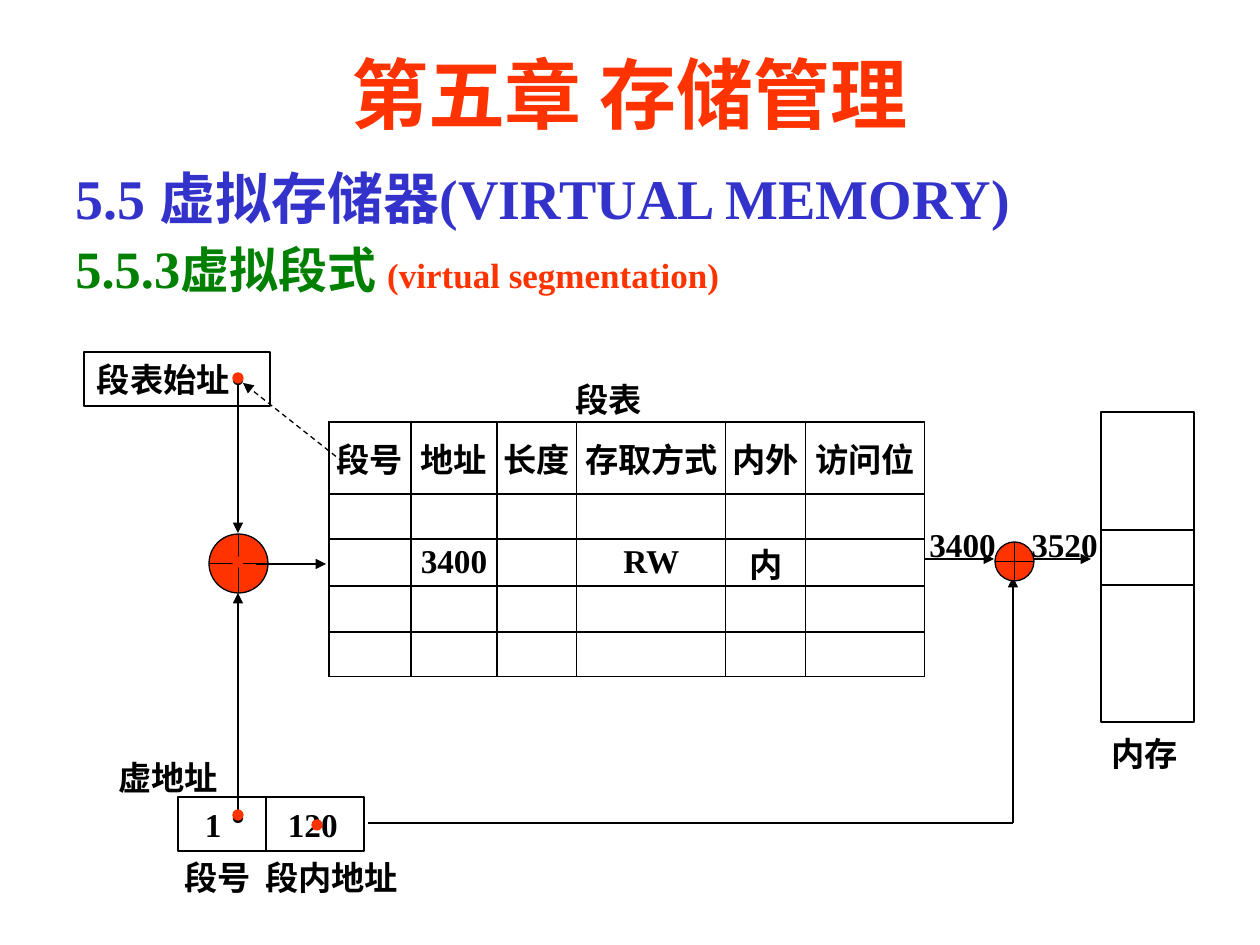
from dataclasses import dataclass
from itertools import product
from typing import Any, Optional

from lxml import etree
from pptx import Presentation
from pptx import util as u
from pptx.dml import color
from pptx.enum import dml, shapes, text
from pptx.oxml import ns

SCALE = u.Inches(1) / 126


@dataclass(frozen=True)
class Theme:
    font: str = "Times New Roman"
    black: str = "000000"
    red: str = "FF3300"
    blue: str = "3333CC"
    green: str = "008000"
    title: int = 44
    section: int = 32
    number: int = 30
    topic: int = 28
    english: int = 20
    label: int = 19
    line: float = 0.75


THEME = Theme()


@dataclass(frozen=True)
class Box:
    x: int
    y: int
    w: int
    h: int

    def emu(self) -> list[int]:
        return [px(v) for v in (self.x, self.y, self.w, self.h)]


@dataclass(frozen=True)
class Line:
    x1: int
    y1: int
    x2: int
    y2: int
    head: Optional[str] = None
    tail: Optional[str] = None
    dashed: bool = False


@dataclass(frozen=True)
class Label:
    words: str
    box: Box


def px(value: int) -> int:
    return round(value * SCALE)


def rgb(value: str) -> color.RGBColor:
    return color.RGBColor.from_string(value)


def write(paragraph: Any, words: str, *, size: int = THEME.label, ink: str = THEME.black,
          align: Any = text.PP_ALIGN.LEFT) -> None:
    """Append one formatted run to a paragraph."""
    paragraph.alignment = align
    run = paragraph.add_run()
    run.text = words
    run.font.name, run.font.size, run.font.bold = THEME.font, u.Pt(size), True
    run.font.color.rgb = rgb(ink)


def add_text(slide: Any, box: Box) -> Any:
    frame = slide.shapes.add_textbox(*box.emu()).text_frame
    frame.word_wrap = True
    return frame


def add_label(slide: Any, label: Label) -> None:
    write(add_text(slide, label.box).paragraphs[0], label.words)


def add_shape(slide: Any, kind: Any, box: Box, fill: Optional[str] = None,
              outline: str = THEME.black) -> Any:
    shape = slide.shapes.add_shape(kind, *box.emu())
    shape.shadow.inherit = False
    if fill:
        shape.fill.solid()
        shape.fill.fore_color.rgb = rgb(fill)
    else:
        shape.fill.background()
    shape.line.color.rgb = rgb(outline)
    shape.line.width = u.Pt(THEME.line)
    return shape


def add_field(slide: Any, field: Label, inset: int) -> None:
    """Draw a framed value, indented from its left edge."""
    frame = add_shape(slide, shapes.MSO_SHAPE.RECTANGLE, field.box).text_frame
    frame.word_wrap = True
    frame.margin_left, frame.margin_right = px(inset), 0
    frame.vertical_anchor = text.MSO_ANCHOR.MIDDLE
    write(frame.paragraphs[0], field.words)


def add_line(slide: Any, line: Line) -> None:
    ends = [px(v) for v in (line.x1, line.y1, line.x2, line.y2)]
    connector = slide.shapes.add_connector(shapes.MSO_CONNECTOR.STRAIGHT, *ends)
    connector.line.color.rgb = rgb(THEME.black)
    connector.line.width = u.Pt(THEME.line)
    if line.dashed:
        connector.line.dash_style = dml.MSO_LINE.DASH
    for tag, kind in (("a:headEnd", line.head), ("a:tailEnd", line.tail)):
        if kind:
            etree.SubElement(connector.get_or_add_ln(), ns.qn(tag), type=kind)
    etree.SubElement(connector.element.spPr, ns.qn("a:effectLst"))


def border_cell(cell: Any) -> None:
    properties = cell._tc.get_or_add_tcPr()
    for position, side in enumerate(("a:lnL", "a:lnR", "a:lnT", "a:lnB")):
        edge = etree.Element(ns.qn(side), w=str(int(u.Pt(THEME.line))))
        fill = etree.SubElement(edge, ns.qn("a:solidFill"))
        etree.SubElement(fill, ns.qn("a:srgbClr"), val=THEME.black)
        properties.insert(position, edge)


def add_segment_table(slide: Any) -> None:
    widths, heights = (82, 86, 80, 149, 80, 119), (72, 45, 47, 46, 45)
    contents = {0: ("段号", "地址", "长度", "存取方式", "内外", "访问位"),
                2: ("", "3400", "", "RW", "内", "")}
    box = Box(329, 422, sum(widths), sum(heights))
    table = slide.shapes.add_table(len(heights), len(widths), *box.emu()).table
    table.first_row = table.horz_banding = False
    for column, width in zip(table.columns, widths):
        column.width = px(width)
    for row, height in zip(table.rows, heights):
        row.height = px(height)
    for row, column in product(range(len(heights)), range(len(widths))):
        cell = table.cell(row, column)
        cell.margin_left = cell.margin_right = cell.margin_top = cell.margin_bottom = 0
        cell.vertical_anchor = text.MSO_ANCHOR.MIDDLE
        cell.fill.background()
        border_cell(cell)
        if row in contents and contents[row][column]:
            write(cell.text_frame.paragraphs[0], contents[row][column],
                  align=text.PP_ALIGN.CENTER)


def add_headings(slide: Any) -> None:
    title = slide.shapes.title
    title.left, title.top, title.width, title.height = Box(94, 35, 1071, 116).emu()
    title.text_frame.vertical_anchor = text.MSO_ANCHOR.MIDDLE
    write(title.text_frame.paragraphs[0], "第五章 存储管理", size=THEME.title,
          ink=THEME.red, align=text.PP_ALIGN.CENTER)
    frame = add_text(slide, Box(63, 157, 1144, 147))
    section, topic = frame.paragraphs[0], frame.add_paragraph()
    section.space_before = topic.space_before = u.Pt(3)
    write(section, "5.5 虚拟存储器(VIRTUAL MEMORY)", size=THEME.section, ink=THEME.blue)
    write(topic, "5.5.3", size=THEME.number, ink=THEME.green)
    write(topic, "虚拟段式 ", size=THEME.topic, ink=THEME.green)
    write(topic, "(virtual segmentation)", size=THEME.english, ink=THEME.red)


def main() -> None:
    deck = Presentation()
    deck.slide_width, deck.slide_height = u.Inches(10), u.Inches(7.5)
    slide = deck.slides.add_slide(deck.slide_layouts[5])
    add_headings(slide)

    # Main memory, segment table and address registers
    memory = Box(1101, 412, 93, 310)
    add_shape(slide, shapes.MSO_SHAPE.RECTANGLE, memory)
    for y in (530, 585):
        add_line(slide, Line(memory.x, y, memory.x + memory.w, y))
    add_segment_table(slide)
    add_field(slide, Label("段表始址", Box(84, 352, 186, 54)), 13)
    add_field(slide, Label("1", Box(178, 797, 88, 54)), 27)
    add_field(slide, Label("120", Box(266, 797, 98, 54)), 22)

    # Captions
    for label in (Label("段表", Box(563, 373, 97, 53)),
                  Label("虚地址", Box(106, 751, 137, 53)),
                  Label("段号", Box(172, 851, 94, 53)),
                  Label("段内地址", Box(253, 851, 163, 53)),
                  Label("3400", Box(917, 518, 97, 53)),
                  Label("3520", Box(1019, 518, 98, 53)),
                  Label("内存", Box(1099, 727, 107, 53))):
        add_label(slide, label)

    # Address flow into the adders
    for line in (Line(238, 380, 238, 533, "oval", "triangle"),
                 Line(238, 593, 238, 818, "triangle", "oval"),
                 Line(368, 823, 1013, 823),
                 Line(1013, 823, 1013, 577, tail="triangle"),
                 Line(925, 559, 994, 559, tail="triangle"),
                 Line(1033, 559, 1091, 559, tail="triangle")):
        add_line(slide, line)

    # Adders, their output and the table pointer
    for adder in (Box(209, 534, 59, 59), Box(995, 542, 39, 39)):
        add_shape(slide, shapes.MSO_SHAPE.FLOWCHART_OR, adder, THEME.red)
    add_line(slide, Line(256, 564, 326, 564, tail="triangle"))
    add_line(slide, Line(343, 462, 243, 383, tail="triangle", dashed=True))

    # Source dots
    for x, y in ((233, 373), (233, 810), (233, 557), (312, 820)):
        add_shape(slide, shapes.MSO_SHAPE.OVAL, Box(x, y, 10, 10), THEME.red, THEME.red)

    deck.save("out.pptx")


if __name__ == "__main__":
    main()
